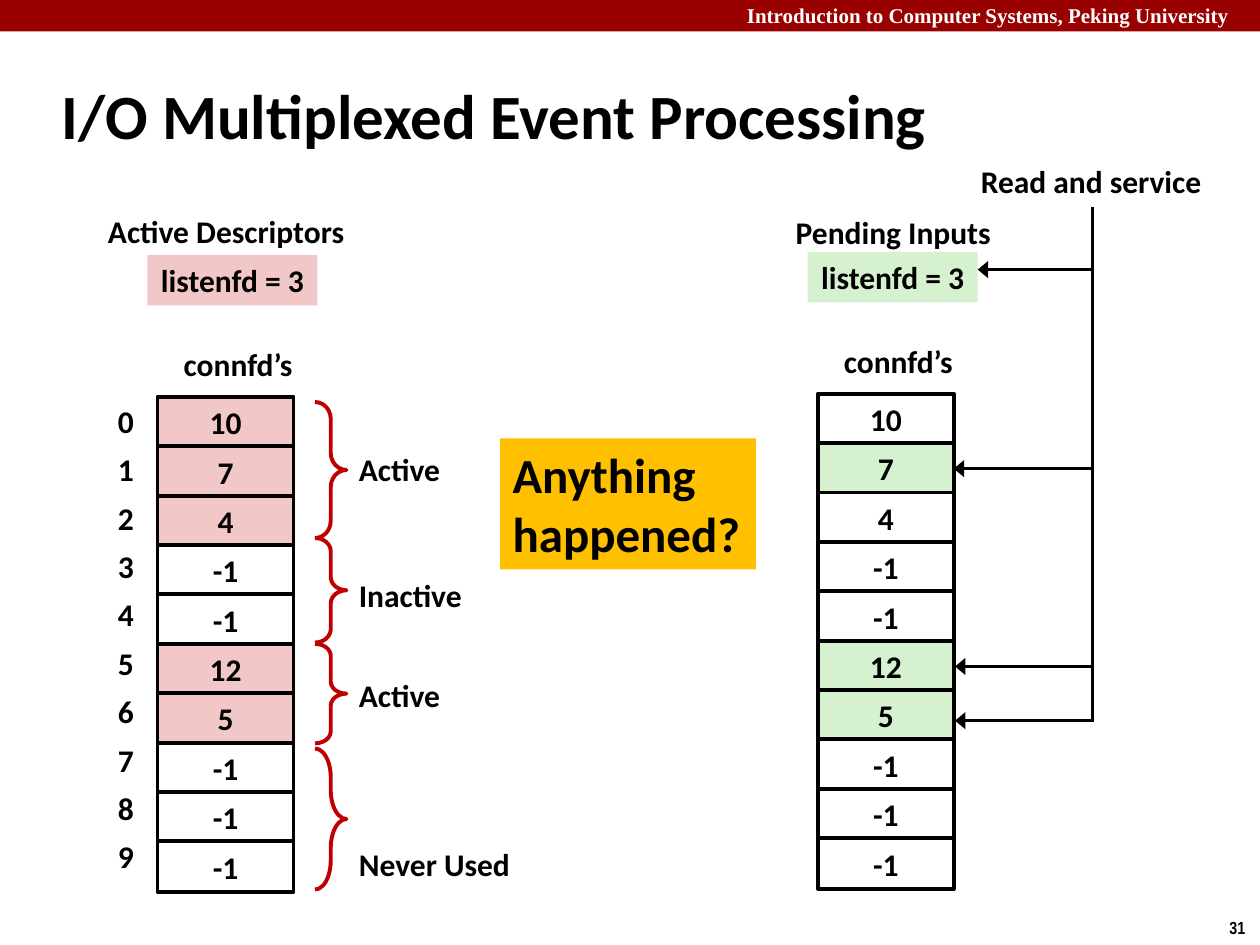
"""Build the slide on I/O multiplexed event processing."""
from dataclasses import dataclass

from lxml import etree
from pptx import Presentation
from pptx import util as u
from pptx.dml.color import RGBColor
from pptx.enum import shapes, text
from pptx.oxml.ns import qn

COLUMNS, ROWS = 100, 75
LINE_ROWS = 4
PITCH = 3.92
INDEX_PITCH = 3.84
CELL_WIDTH = 10.8
BLACK, WHITE, BAR_RED, BRACE_RED = "000000", "FFFFFF", "990000", "C00000"
PINK, GREEN, AMBER = "F1C7C7", "D5F1CF", "FFC000"
LEFT, CENTER, RIGHT = text.PP_ALIGN.LEFT, text.PP_ALIGN.CENTER, text.PP_ALIGN.RIGHT
TOP, MIDDLE = text.MSO_ANCHOR.TOP, text.MSO_ANCHOR.MIDDLE
CONNFDS = ("10", "7", "4", "-1", "-1", "12", "5", "-1", "-1", "-1")


@dataclass(frozen=True)
class Area:
    """A region in grid columns and rows."""
    column: float
    row: float
    width: float
    height: float = LINE_ROWS


@dataclass(frozen=True)
class Style:
    """The look of a piece of text."""
    size: float = 18
    font: str = "Calibri"
    color: str = BLACK
    align: text.PP_ALIGN = CENTER
    anchor: text.MSO_ANCHOR = TOP
    wrap: bool = False
    grow: bool = True


@dataclass(frozen=True)
class Descriptors:
    """A listenfd box above a column of connfd cells."""
    column: float
    row: float
    tint: str
    marked: frozenset


@dataclass(frozen=True)
class State:
    """A brace beside the cells and the state it names."""
    name: str
    row: float
    height: float
    bend: float
    name_row: float
    name_width: float


LABEL = Style(align=LEFT, wrap=True)
CELL = Style(anchor=MIDDLE, wrap=True)
INDEX = Style(align=RIGHT, anchor=MIDDLE, wrap=True)
CAPTION = Style(wrap=True)

ACTIVE = Descriptors(12.5, 31.5, PINK, frozenset({0, 1, 2, 5, 6}))
PENDING = Descriptors(64.9, 31.25, GREEN, frozenset({1, 5, 6}))
STATES = (
    State("Active", 31.9, 10.8, 0.54, 35.2, 9),
    State("Inactive", 42.7, 8.3, 0.42, 45.2, 11),
    State("Active", 51.1, 7.9, 0.38, 53.2, 9),
    State("Never Used", 59.4, 11.2, 0.92, 66.6, 15),
)
TRUNK = 86.7
ARROWS = ((77.6, 21.4), (75.7, 37.2), (75.8, 52.9), (75.8, 57.2))

deck = Presentation()
deck.slide_width, deck.slide_height = u.Inches(10), u.Inches(7.5)
slide = deck.slides.add_slide(deck.slide_layouts[6])


def across(columns: float) -> int:
    """Turn grid columns into a length."""
    return round(deck.slide_width * columns / COLUMNS)


def down(rows: float) -> int:
    """Turn grid rows into a length."""
    return round(deck.slide_height * rows / ROWS)


def place(area: Area) -> tuple:
    """Return left, top, width and height of an area."""
    return across(area.column), down(area.row), across(area.width), down(area.height)


def rgb(color: str) -> RGBColor:
    """Turn a hex string into a colour."""
    return RGBColor.from_string(color)


def write(holder, words: str, style: Style) -> None:
    """Put styled bold text into a shape."""
    frame = holder.text_frame
    frame.text = words
    frame.word_wrap = style.wrap
    frame.vertical_anchor = style.anchor
    frame.auto_size = (text.MSO_AUTO_SIZE.SHAPE_TO_FIT_TEXT if style.grow
                       else text.MSO_AUTO_SIZE.NONE)
    for paragraph in frame.paragraphs:
        paragraph.alignment = style.align
        paragraph.font.size = u.Pt(style.size)
        paragraph.font.name = style.font
        paragraph.font.bold = True
        paragraph.font.color.rgb = rgb(style.color)


def add_text(area: Area, words: str, style: Style = Style()) -> None:
    """Add a text box."""
    write(slide.shapes.add_textbox(*place(area)), words, style)


def add_box(area: Area, fill: str, words: str = "", style: Style = Style(),
            outlined: bool = False) -> None:
    """Add a filled rectangle, with text if there is any."""
    box = slide.shapes.add_shape(shapes.MSO_SHAPE.RECTANGLE, *place(area))
    box.shadow.inherit = False
    box.fill.solid()
    box.fill.fore_color.rgb = rgb(fill)
    if outlined:
        box.line.color.rgb = rgb(BLACK)
        box.line.width = u.Pt(2.25)
    else:
        box.line.fill.background()
    if words:
        write(box, words, style)


def add_line(start: tuple, end: tuple, arrow: bool = False) -> None:
    """Add a straight line between two grid points."""
    line = slide.shapes.add_connector(
        shapes.MSO_CONNECTOR.STRAIGHT,
        across(start[0]), down(start[1]), across(end[0]), down(end[1]))
    line.line.color.rgb = rgb(BLACK)
    line.line.width = u.Pt(1.5)
    properties = line._element.spPr
    if arrow:
        etree.SubElement(properties.find(qn("a:ln")), qn("a:tailEnd"),
                         type="triangle", w="lg", len="med")
    etree.SubElement(properties, qn("a:effectLst"))


def add_descriptors(group: Descriptors) -> None:
    """Add the listenfd box, the heading and the connfd cells."""
    for index, connfd in enumerate(CONNFDS):
        add_box(Area(group.column, group.row + index * PITCH, CELL_WIDTH),
                group.tint if index in group.marked else WHITE, connfd, CELL, True)
    add_text(Area(group.column + 0.9, group.row - 4.6, 11), "connfd’s")
    add_box(Area(group.column - 0.8, group.row - 11.25, 13.5), group.tint, "listenfd = 3")


def add_state(state: State) -> None:
    """Add a brace and its label."""
    brace = slide.shapes.add_shape(
        shapes.MSO_SHAPE.RIGHT_BRACE, *place(Area(25, state.row, 2.5, state.height)))
    brace.shadow.inherit = False
    brace.fill.background()
    brace.line.color.rgb = rgb(BRACE_RED)
    brace.line.width = u.Pt(2.25)
    brace.adjustments[0] = state.bend
    add_text(Area(27.5, state.name_row, state.name_width), state.name, LABEL)


def main() -> None:
    """Draw the slide and save it."""
    add_box(Area(0, 0, COLUMNS, 2.5), BAR_RED)
    add_text(Area(58.3, -0.3, 42.4, 3), "Introduction to Computer Systems, Peking University",
             Style(12, "Times New Roman", WHITE, LEFT, wrap=True))
    add_text(Area(96.6, 72.3, 3.4, 2.7), "31", Style(10, "Arial Narrow", align=LEFT))
    add_text(Area(3.9, 4.9, 83, 8.3), "I/O Multiplexed Event Processing",
             Style(36, align=LEFT, anchor=MIDDLE, wrap=True, grow=False))

    add_descriptors(ACTIVE)
    add_text(Area(7.5, 16.3, 20.9), "Active Descriptors")
    for index in range(len(CONNFDS)):
        add_text(Area(0.8, 31.4 + index * INDEX_PITCH, CELL_WIDTH), str(index), INDEX)
    for state in STATES:
        add_state(state)

    add_descriptors(PENDING)
    add_text(Area(60, 16.4, 21.8), "Pending Inputs", CAPTION)
    for tip, row in ARROWS:
        add_line((TRUNK, row), (tip, row), arrow=True)
    add_line((TRUNK, 57.3), (TRUNK, 16.4))
    add_text(Area(75.7, 12.4, 21.8), "Read and service", CAPTION)
    add_box(Area(39.7, 34.8, 20.3, 10.4), AMBER, "Anything\nhappened?", Style(28, align=LEFT))
    deck.save("out.pptx")


if __name__ == "__main__":
    main()
